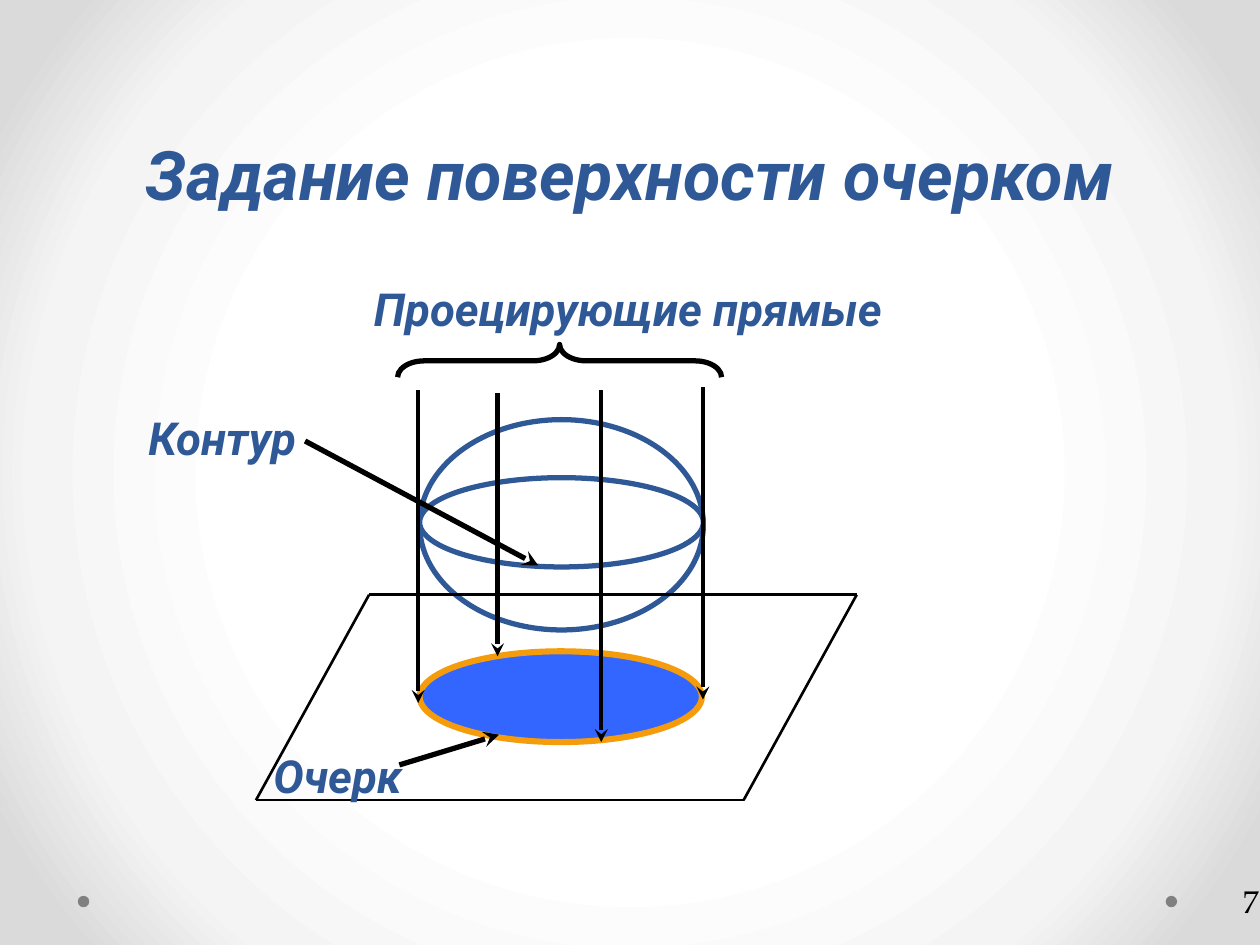
from dataclasses import dataclass
from itertools import pairwise

from lxml.etree import SubElement
from pptx import Presentation
from pptx.dml.color import RGBColor
from pptx.enum.shapes import MSO_CONNECTOR, MSO_SHAPE
from pptx.enum.text import MSO_ANCHOR, PP_ALIGN
from pptx.oxml import parse_xml
from pptx.oxml.ns import nsdecls, qn
from pptx.shapes.autoshape import Shape
from pptx.slide import Slide
from pptx.util import Cm, Pt

BLACK = RGBColor(0x00, 0x00, 0x00)
WHITE = RGBColor(0xFF, 0xFF, 0xFF)
GRAY = RGBColor(0x80, 0x80, 0x80)
NAVY = RGBColor(0x2F, 0x58, 0x97)
BLUE = RGBColor(0x33, 0x66, 0xFF)
ORANGE = RGBColor(0xF4, 0x9C, 0x0C)
GRADIENT = ((50, "FFFFFF"), (76, "F4F4F4"), (92, "DADADA"))


@dataclass
class Label:
    text: str
    left: float
    top: float
    width: float
    height: float
    size: float = 26
    font: str = "Roboto"
    color: RGBColor = NAVY
    bold: bool = True
    italic: bool = True


@dataclass
class Ellipse:
    left: float
    top: float
    width: float
    height: float
    fill: RGBColor
    line: RGBColor | None = None
    weight: float = 0


@dataclass
class Line:
    x1: float
    y1: float
    x2: float
    y2: float
    weight: float
    arrow: bool = True


DOTS = [Ellipse(x, 18.06, 0.23, 0.23, GRAY) for x in (23.5, 1.57)]
SPHERE = Ellipse(8.46, 8.46, 5.72, 4.24, WHITE, NAVY, 3)
OUTLINE = Ellipse(8.46, 13.13, 5.69, 1.83, BLUE, ORANGE, 3.5)
CONTOUR = Ellipse(8.46, 9.63, 5.72, 1.8, WHITE, NAVY, 3)

TITLE = Label("Задание поверхности очерком", 1.27, 0, 22.86, 4.45, 39)
NUMBER = Label("7", 23.72, 17.65, 1.55, 1.02, 18, "TeX Gyre Pagella",
               BLACK, False, False)
LABELS = [
    Label("Очерк", 5.26, 14.96, 5.56, 1.78),
    Label("Проецирующие прямые", 7.29, 5.54, 10.8, 1.27),
    Label("Контур", 2.74, 8.15, 5.28, 1.78),
]

PLANE = [(7.44, 11.99), (17.27, 11.99), (14.99, 16.13), (5.16, 16.13)]
PLANE_EDGES = [Line(*a, *b, 1.5, False) for a, b in pairwise(PLANE + PLANE[:1])]
PROJECTING = [
    Line(x, top, x, bottom, 2.5)
    for x, top, bottom in (
        (8.43, 7.87, 14.17),
        (14.17, 7.8, 14.1),
        (10.03, 7.92, 13.23),
        (12.12, 7.87, 14.96),
    )
]
POINTERS = [Line(6.15, 8.89, 10.85, 11.4, 3), Line(8.05, 15.42, 10.06, 14.81, 3)]


def set_background(s: Slide) -> None:
    stops = "".join(
        f'<a:gs pos="{pos * 1000}"><a:srgbClr val="{color}"/></a:gs>'
        for pos, color in GRADIENT
    )
    bg = parse_xml(
        f'<p:bg {nsdecls("p", "a")}><p:bgPr><a:gradFill rotWithShape="1">'
        f'<a:gsLst>{stops}</a:gsLst><a:path path="circle">'
        '<a:fillToRect l="50000" t="50000" r="50000" b="50000"/></a:path>'
        "</a:gradFill><a:effectLst/></p:bgPr></p:bg>"
    )
    s.element.find(qn("p:cSld")).insert(0, bg)


def add_label(s: Slide, label: Label) -> Shape:
    sp = s.shapes.add_textbox(Cm(label.left), Cm(label.top),
                              Cm(label.width), Cm(label.height))
    tf = sp.text_frame
    tf.word_wrap = True
    tf.text = label.text
    font = tf.paragraphs[0].runs[0].font
    font.name = label.font
    font.size = Pt(label.size)
    font.bold = label.bold
    font.italic = label.italic
    font.color.rgb = label.color
    return sp


def add_title(s: Slide) -> None:
    tf = add_label(s, TITLE).text_frame
    tf.vertical_anchor = MSO_ANCHOR.BOTTOM
    p = tf.paragraphs[0]
    p.alignment = PP_ALIGN.CENTER
    p.line_spacing = Pt(58)


def add_number(s: Slide) -> None:
    tf = add_label(s, NUMBER).text_frame
    tf.vertical_anchor = MSO_ANCHOR.MIDDLE
    tf.margin_left = Cm(0.08)
    tf.margin_right = Cm(0.13)
    pPr = tf.paragraphs[0]._p.get_or_add_pPr()
    pPr.set("marL", str(Cm(1.27)))
    pPr.set("indent", "0")


def add_ellipse(s: Slide, e: Ellipse) -> None:
    sp = s.shapes.add_shape(MSO_SHAPE.OVAL, Cm(e.left), Cm(e.top),
                            Cm(e.width), Cm(e.height))
    sp.shadow.inherit = False
    sp.fill.solid()
    sp.fill.fore_color.rgb = e.fill
    if e.line is None:
        sp.line.fill.background()
    else:
        sp.line.color.rgb = e.line
        sp.line.width = Pt(e.weight)


def add_line(s: Slide, line: Line) -> None:
    cxn = s.shapes.add_connector(MSO_CONNECTOR.STRAIGHT, Cm(line.x1), Cm(line.y1),
                                 Cm(line.x2), Cm(line.y2))
    cxn.line.color.rgb = BLACK
    cxn.line.width = Pt(line.weight)
    if line.arrow:
        SubElement(cxn.line._get_or_add_ln(), qn("a:tailEnd"), type="stealth")
    SubElement(cxn._element.spPr, qn("a:effectLst"))


def add_brace(s: Slide) -> None:
    sp = s.shapes.add_shape(MSO_SHAPE.LEFT_BRACE, Cm(10.95), Cm(4.01),
                            Cm(0.66), Cm(6.53))
    sp.rotation = 90
    sp.adjustments[0] = 0.816
    sp.adjustments[1] = 0.5
    sp.shadow.inherit = False
    sp.fill.background()
    sp.line.color.rgb = BLACK
    sp.line.width = Pt(3)


def main() -> None:
    prs = Presentation()
    prs.slide_width, prs.slide_height = Cm(25.4), Cm(19.05)
    s = prs.slides.add_slide(prs.slide_layouts[6])
    set_background(s)
    for dot in DOTS:
        add_ellipse(s, dot)
    add_number(s)
    add_title(s)
    add_ellipse(s, SPHERE)
    for edge in PLANE_EDGES:
        add_line(s, edge)
    add_ellipse(s, OUTLINE)
    add_ellipse(s, CONTOUR)
    for line in PROJECTING:
        add_line(s, line)
    add_brace(s)
    for label in LABELS:
        add_label(s, label)
    for pointer in POINTERS:
        add_line(s, pointer)
    prs.save("out.pptx")


if __name__ == "__main__":
    main()
